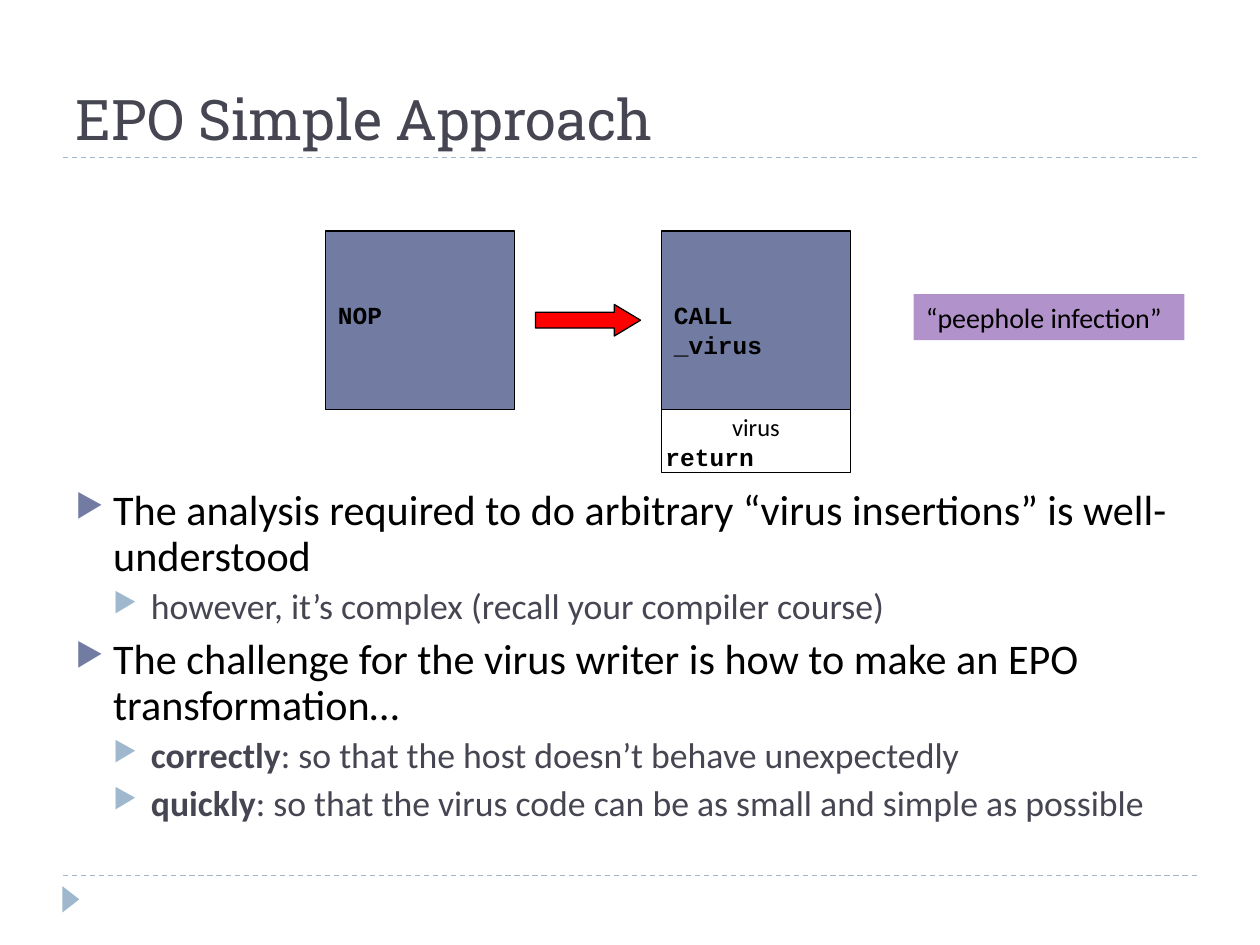
from lxml.etree import SubElement
from pptx import Presentation
from pptx.dml.color import RGBColor
from pptx.enum.dml import MSO_LINE
from pptx.enum.shapes import MSO_CONNECTOR, MSO_SHAPE as Shape
from pptx.enum.text import MSO_ANCHOR as Anchor, PP_ALIGN as Align
from pptx.oxml.ns import qn
from pptx.util import Inches, Pt

BLACK = RGBColor(0x00, 0x00, 0x00)
WHITE = RGBColor(0xFF, 0xFF, 0xFF)
SLATE = RGBColor(0x46, 0x46, 0x53)
INDIGO = RGBColor(0x72, 0x7C, 0xA3)
SKY = RGBColor(0x9F, 0xB8, 0xCD)
RED = RGBColor(0xFF, 0x00, 0x00)
LILAC = RGBColor(0xB2, 0x92, 0xCA)
BODY, CODE, HEADING = "Calibri", "Courier New", "Roboto Slab"
LEVELS = [(24.1, BLACK, INDIGO, 6), (20.4, SLATE, SKY, 5)]


class SlideBuilder:
    """Draws styled elements on one slide, on a grid of 120 columns by 90 rows."""

    def __init__(self, deck):
        deck.slide_width, deck.slide_height = Inches(10), Inches(7.5)
        self.unit = deck.slide_width / 120
        self.shapes = deck.slides.add_slide(deck.slide_layouts[6]).shapes

    def grid(self, *lengths):
        return [round(length * self.unit) for length in lengths]

    def rule(self, row):
        line = self.shapes.add_connector(MSO_CONNECTOR.STRAIGHT, *self.grid(6, row, 114, row))
        line.line.color.rgb = SKY
        line.line.width = Pt(0.75)
        line.line.dash_style = MSO_LINE.DASH
        SubElement(line._element.spPr, qn("a:effectLst"))

    def block(self, kind, area, fill, outlined=True):
        block = self.shapes.add_shape(kind, *self.grid(*area))
        block.shadow.inherit = False
        block.fill.solid()
        block.fill.fore_color.rgb = fill
        if outlined:
            block.line.color.rgb = BLACK
            block.line.width = Pt(0.75)
        else:
            block.line.fill.background()
        return block

    def run(self, paragraph, words, font, size, color, bold=False):
        run = paragraph.add_run()
        run.text = words
        run.font.name, run.font.size, run.font.bold = font, Pt(size), bold
        run.font.color.rgb = color

    def label(self, shape, words, size, align=Align.LEFT):
        frame = shape.text_frame
        frame.word_wrap = False
        frame.vertical_anchor = Anchor.TOP
        frame.paragraphs[0].alignment = align
        self.run(frame.paragraphs[0], words, BODY, size, BLACK)
        return frame

    def code(self, area, words):
        frame = self.shapes.add_textbox(*self.grid(*area)).text_frame
        frame.word_wrap = False
        self.run(frame.paragraphs[0], words, CODE, 14, BLACK, True)

    def title(self, area, words):
        frame = self.shapes.add_textbox(*self.grid(*area)).text_frame
        frame.word_wrap = True
        frame.vertical_anchor = Anchor.BOTTOM
        self.run(frame.paragraphs[0], words, HEADING, 32, SLATE)

    def bullets(self, area, points):
        frame = self.shapes.add_textbox(*self.grid(*area)).text_frame
        frame.word_wrap = True
        for index, (level, strong, words) in enumerate(points):
            size, color, marker, gap = LEVELS[level]
            point = frame.add_paragraph() if index else frame.paragraphs[0]
            point.level = level
            point.line_spacing = 0.9
            point.space_before = Pt(gap if index else 0)
            self.marker(point, level, marker)
            if strong:
                self.run(point, strong, BODY, size, color, True)
            self.run(point, words, BODY, size, color)

    def marker(self, point, level, color):
        properties = point._p.get_or_add_pPr()
        properties.set("marL", str(Inches(0.3 * (level + 1))))
        properties.set("indent", str(-Inches(0.3)))
        SubElement(SubElement(properties, qn("a:buClr")), qn("a:srgbClr"), val=str(color))
        SubElement(properties, qn("a:buSzPct"), val="76000")
        SubElement(properties, qn("a:buChar"), char="▶")


def main():
    deck = Presentation()
    slide = SlideBuilder(deck)
    for row in (83.4, 15):
        slide.rule(row)
    slide.block(Shape.ISOSCELES_TRIANGLE, (5.5, 84.85, 2.5, 1.6), SKY, False).rotation = 90
    slide.title((6, 1.5, 99, 13.5), "EPO Simple Approach")
    slide.bullets((6, 46, 108, 34.5), [
        (0, "", "The analysis required to do arbitrary “virus insertions” is well-understood"),
        (1, "", "however, it’s complex (recall your compiler course)"),
        (0, "", "The challenge for the virus writer is how to make an EPO transformation…"),
        (1, "correctly", ": so that the host doesn’t behave unexpectedly"),
        (1, "quickly", ": so that the virus code can be as small and simple as possible"),
    ])

    for column, width, instruction in ((31, 6.6, "NOP"), (63, 17.8, "CALL _virus")):
        slide.block(Shape.RECTANGLE, (column, 22, 18, 17), INDIGO)
        slide.code((column, 28, width, 4), instruction)

    virus = slide.block(Shape.RECTANGLE, (63, 39, 18, 6), WHITE)
    slide.label(virus, "virus", 14, Align.CENTER).margin_top = Inches(0.02)
    arrow = slide.block(Shape.RIGHT_ARROW, (51, 29, 10, 3), RED)
    arrow.adjustments[1] = 0.83
    infection = slide.block(Shape.RECTANGLE, (87, 28, 25.8, 4.4), LILAC, False)
    slide.label(infection, "“peephole infection”", 16)
    slide.code((62.2, 41.5, 10.8, 4), "return")
    deck.save("out.pptx")


if __name__ == "__main__":
    main()
